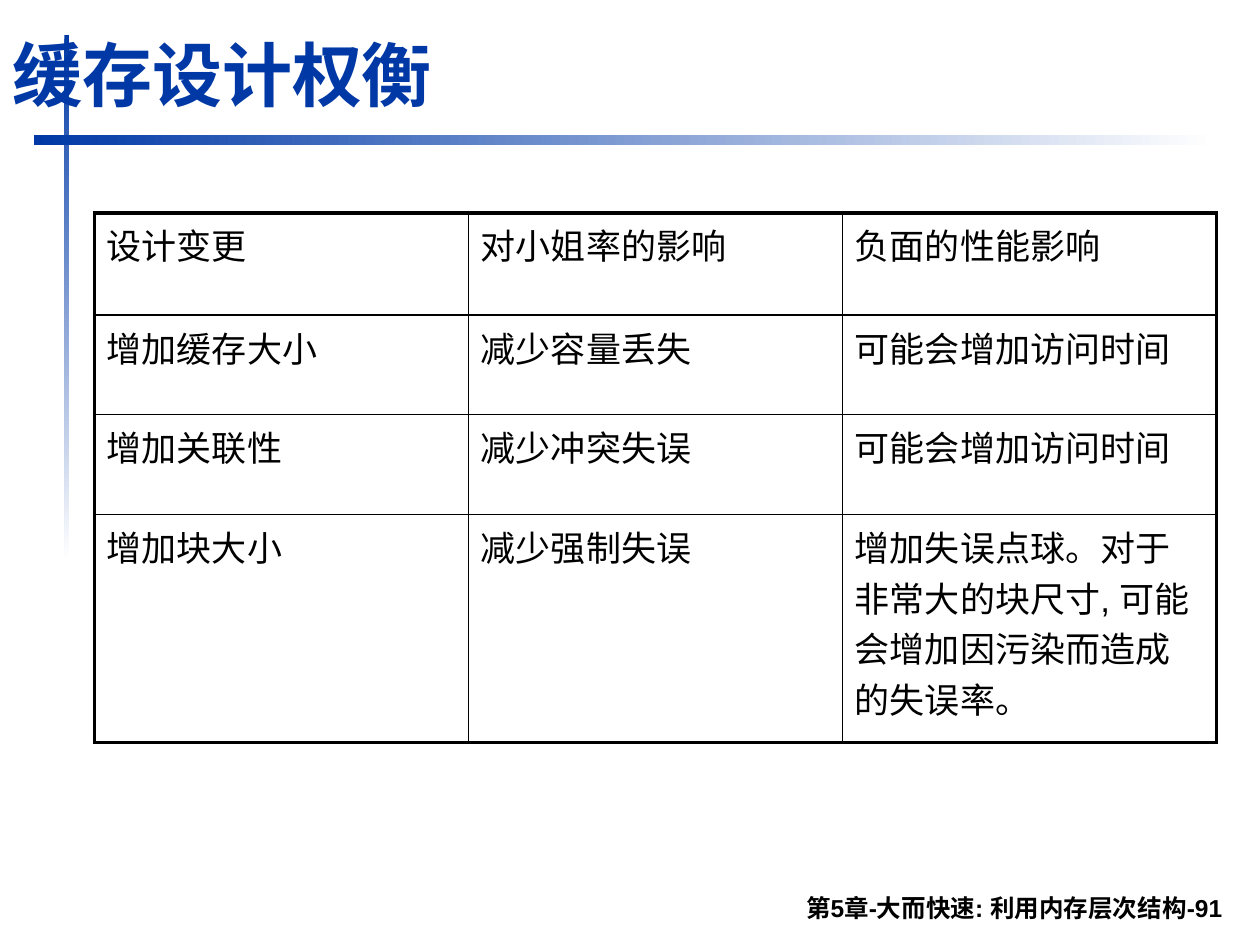
import dataclasses

import lxml.etree
import pptx
import pptx.dml.color
import pptx.enum.shapes
import pptx.enum.text
import pptx.oxml.ns
import pptx.util

Cm = pptx.util.Cm
Pt = pptx.util.Pt


@dataclasses.dataclass(frozen=True)
class Theme:
    """Colours, font and sizes of the slide."""
    blue: str = "0039A6"
    white: str = "FFFFFF"
    black: str = "000000"
    font: str = "Arial"
    title: int = 40
    body: int = 20
    footer: int = 14
    outer: float = 2.25
    header_rule: float = 1.5
    inner: float = 1


THEME = Theme()
TRADEOFFS = [
    ("设计变更", "对小姐率的影响", "负面的性能影响"),
    ("增加缓存大小", "减少容量丢失", "可能会增加访问时间"),
    ("增加关联性", "减少冲突失误", "可能会增加访问时间"),
    ("增加块大小", "减少强制失误",
     "增加失误点球。对于非常大的块尺寸, 可能会增加因污染而造成的失误率。"),
]
ROW_HEIGHTS = (2.06, 2.01, 2.01, 4.6)


def rgb(value):
    """Return a colour object for a hex value."""
    return pptx.dml.color.RGBColor.from_string(value)


def write(frame, text, size, color, bold=False):
    """Put one styled paragraph in a text frame and return it."""
    frame.text = text
    paragraph = frame.paragraphs[0]
    font = paragraph.runs[0].font
    font.name, font.size, font.bold = THEME.font, Pt(size), bold
    font.color.rgb = rgb(color)
    return paragraph


def add_fading_bar(slide, left, top, width, height, angle):
    """Draw a bar that fades from blue to white."""
    bar = slide.shapes.add_shape(
        pptx.enum.shapes.MSO_SHAPE.RECTANGLE,
        Cm(left), Cm(top), Cm(width), Cm(height))
    bar.shadow.inherit = False
    bar.line.fill.background()
    bar.fill.gradient()
    bar.fill.gradient_angle = angle
    for stop, color in zip(bar.fill.gradient_stops, (THEME.blue, THEME.white)):
        stop.color.rgb = rgb(color)


def add_cross_rules(slide, left, top, width, height):
    """Draw the crossing vertical and horizontal rules in a box."""
    add_fading_bar(slide, left + 0.61, top, 0.1, height, 270)
    add_fading_bar(slide, left, top + 2.01, width, 0.2, 0)


def add_line_of_text(slide, left, top, width, height, text, size, color, align):
    """Add a bold text box anchored to its bottom edge."""
    box = slide.shapes.add_textbox(Cm(left), Cm(top), Cm(width), Cm(height))
    frame = box.text_frame
    frame.word_wrap = True
    frame.vertical_anchor = pptx.enum.text.MSO_ANCHOR.BOTTOM
    write(frame, text, size, color, bold=True).alignment = align


def set_borders(cell, widths):
    """Give a cell black borders from a mapping of side to points."""
    properties = cell._tc.get_or_add_tcPr()
    qn = pptx.oxml.ns.qn
    for side in "LRTB":
        line = lxml.etree.SubElement(
            properties, qn(f"a:ln{side}"), w=str(int(Pt(widths[side]))))
        fill = lxml.etree.SubElement(line, qn("a:solidFill"))
        lxml.etree.SubElement(fill, qn("a:srgbClr"), val=THEME.black)


def add_tradeoff_table(slide, left, top, width):
    """Add the table of design changes and their effects."""
    last_row, last_column = len(TRADEOFFS) - 1, len(TRADEOFFS[0]) - 1
    table = slide.shapes.add_table(
        last_row + 1, last_column + 1, Cm(left), Cm(top),
        Cm(width), Cm(sum(ROW_HEIGHTS))).table
    table.first_row = table.horz_banding = False
    for column in table.columns:
        column.width = Cm(width / (last_column + 1))
    row_rules = [THEME.outer, THEME.header_rule, THEME.inner, THEME.inner, THEME.outer]
    column_rules = [THEME.outer, THEME.inner, THEME.inner, THEME.outer]
    for r, texts in enumerate(TRADEOFFS):
        table.rows[r].height = Cm(ROW_HEIGHTS[r])
        for c, text in enumerate(texts):
            cell = table.cell(r, c)
            paragraph = write(cell.text_frame, text, THEME.body, THEME.black)
            paragraph.space_before = Pt(THEME.body * 0.2)
            set_borders(cell, {"L": column_rules[c], "R": column_rules[c + 1],
                               "T": row_rules[r], "B": row_rules[r + 1]})
            cell.fill.background()


def main():
    """Build and save the slide."""
    deck = pptx.Presentation()
    deck.slide_width, deck.slide_height = Cm(25.4), Cm(19.05)
    slide = deck.slides.add_slide(deck.slide_layouts[6])
    align = pptx.enum.text.PP_ALIGN
    add_cross_rules(slide, 0.69, 0.71, 23.8, 10.59)
    add_line_of_text(slide, 4.7, 17.73, 20.19, 0.99,
                     "第5章-大而快速: 利用内存层次结构-91",
                     THEME.footer, THEME.black, align.RIGHT)
    add_line_of_text(slide, 0, 0.33, 21.64, 2.13, "缓存设计权衡",
                     THEME.title, THEME.blue, align.LEFT)
    add_tradeoff_table(slide, 1.9, 4.29, 22.62)
    deck.save("out.pptx")


if __name__ == "__main__":
    main()
